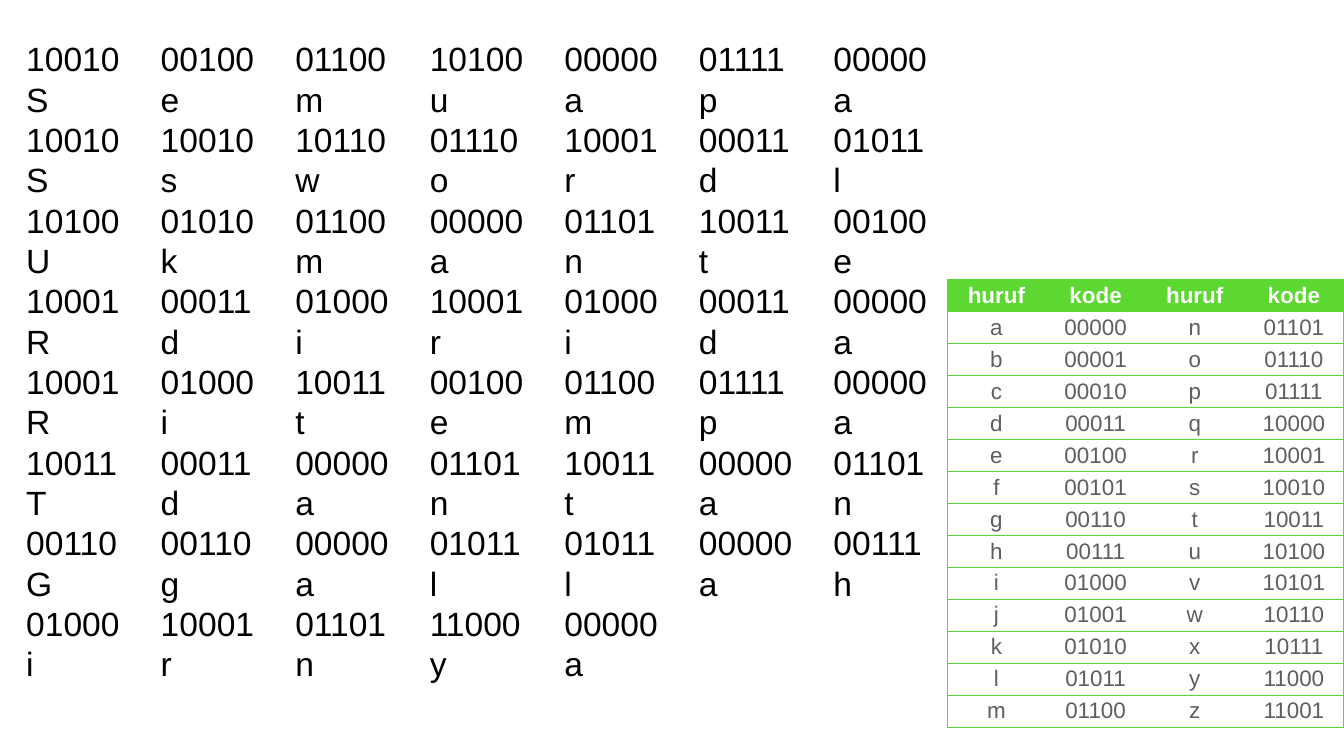
from lxml.etree import SubElement
from pptx import Presentation
from pptx.dml.color import RGBColor
from pptx.enum.text import MSO_ANCHOR, PP_ALIGN
from pptx.oxml.ns import qn
from pptx.util import Inches, Pt

COLORS = {"ink": "000000", "green": "5DD731", "grey": "5E5E5E", "white": "FFFFFF"}
ALPHABET = "abcdefghijklmnopqrstuvwxyz"
MESSAGE_ROWS = ["Semuapa", "Sswordl", "Ukmante", "Rdirida",
                "Ritempa", "Tdantan", "Ggallah", "irnya"]
COLUMN_STEP = 2.67
TABLE_COLUMNS = 4
ROW_HEIGHT = 0.63


def letter_code(letter):
    """Give the five-bit code of a letter."""
    return f"{ALPHABET.index(letter.lower()):05b}"


def write_text(paragraph, text, size, color, bold=False, align=PP_ALIGN.LEFT, font="Arial"):
    paragraph.alignment = align
    run = paragraph.add_run()
    run.text = text
    run.font.name = font
    run.font.size = Pt(size)
    run.font.bold = bold
    run.font.color.rgb = RGBColor.from_string(COLORS[color])


class SlideBuilder:
    def __init__(self, slide, border_width=0.75):
        self.slide = slide
        self.border_width = border_width

    def tabbed_text(self, lines, left, top, width, height, size, spacing):
        shape = self.slide.shapes.add_textbox(
            Inches(left), Inches(top), Inches(width), Inches(height))
        frame = shape.text_frame
        frame.word_wrap = True
        frame.vertical_anchor = MSO_ANCHOR.MIDDLE
        frame.margin_left = frame.margin_right = Inches(0.06)
        frame.margin_top = frame.margin_bottom = Inches(0.06)
        for index, line in enumerate(lines):
            paragraph = frame.add_paragraph() if index else frame.paragraphs[0]
            write_text(paragraph, line, size=size, color="ink")
            paragraph.line_spacing = Pt(spacing)
            tabs = SubElement(paragraph._p.get_or_add_pPr(), qn("a:tabLst"))
            for stop in range(1, line.count("\t") + 1):
                SubElement(tabs, qn("a:tab"), pos=str(Inches(COLUMN_STEP * stop)), algn="l")

    def borders(self, cell, sides):
        properties = cell._tc.get_or_add_tcPr()
        for index, side in enumerate(("L", "R", "T", "B")):
            line = properties.makeelement(
                qn(f"a:ln{side}"), {"w": str(Pt(self.border_width))})
            if side in sides:
                fill = SubElement(line, qn("a:solidFill"))
                SubElement(fill, qn("a:srgbClr"), val=COLORS["green"])
            else:
                SubElement(line, qn("a:noFill"))
            properties.insert(index, line)

    def table(self, rows, left, top, width, size):
        columns = len(rows[0])
        frame = self.slide.shapes.add_table(
            len(rows), columns, Inches(left), Inches(top),
            Inches(width), Inches(ROW_HEIGHT * len(rows)))
        table = frame.table
        table.horz_banding = False
        for row_index, row in enumerate(rows):
            header = row_index == 0
            for column_index, text in enumerate(row):
                cell = table.cell(row_index, column_index)
                cell.vertical_anchor = MSO_ANCHOR.MIDDLE
                cell.margin_top = cell.margin_bottom = Inches(0.05)
                cell.fill.solid()
                cell.fill.fore_color.rgb = RGBColor.from_string(
                    COLORS["green" if header else "white"])
                write_text(cell.text_frame.paragraphs[0], text, size=size,
                           color="white" if header else "grey",
                           bold=header, align=PP_ALIGN.CENTER)
                sides = "TB"
                if column_index == 0:
                    sides += "L"
                if column_index == columns - 1:
                    sides += "R"
                self.borders(cell, sides)


def main():
    presentation = Presentation()
    presentation.slide_width = Inches(26.67)
    presentation.slide_height = Inches(15)
    builder = SlideBuilder(presentation.slides.add_slide(presentation.slide_layouts[6]))

    # Coded message: a line of codes above each line of letters
    lines = []
    for letters in MESSAGE_ROWS:
        lines.append("\t".join(letter_code(letter) for letter in letters))
        lines.append("\t".join(letters))
    builder.tabbed_text(lines, 0.46, 0.64, 18.33, 13.04, size=48, spacing=57.6)

    # Key table: the two halves of the alphabet side by side
    rows = [["huruf", "kode"] * (TABLE_COLUMNS // 2)]
    for first, second in zip(ALPHABET[:13], ALPHABET[13:]):
        rows.append([first, letter_code(first), second, letter_code(second)])
    builder.table(rows, 18.79, 5.55, 7.87, size=32)

    presentation.save("out.pptx")


if __name__ == "__main__":
    main()
